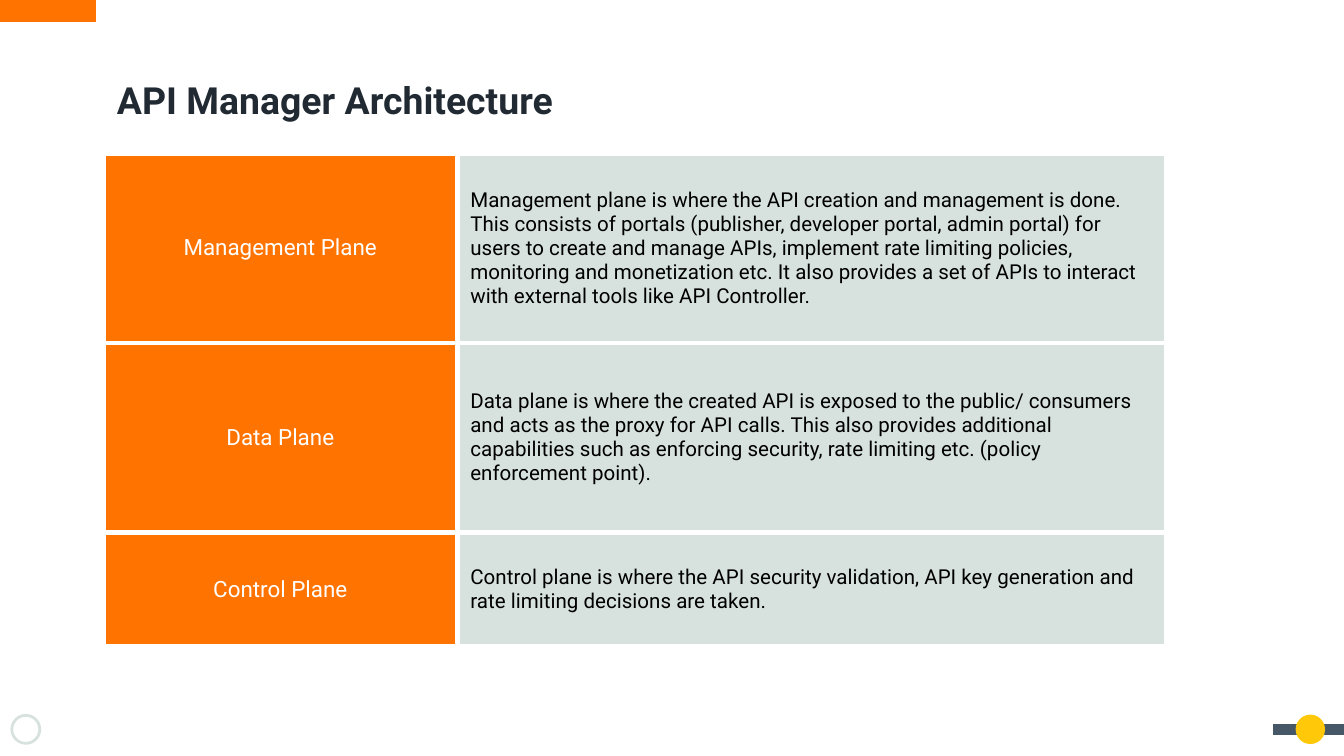
from typing import NamedTuple

from lxml import etree
from pptx import Presentation
from pptx.dml.color import RGBColor
from pptx.enum.shapes import MSO_CONNECTOR, MSO_SHAPE
from pptx.enum.text import MSO_ANCHOR, PP_ALIGN
from pptx.oxml.ns import qn
from pptx.util import Emu, Pt

STRAIGHT = MSO_CONNECTOR.STRAIGHT
ELLIPSE, DONUT = MSO_SHAPE.OVAL, MSO_SHAPE.DONUT
MIDDLE = MSO_ANCHOR.MIDDLE
LEFT, CENTER = PP_ALIGN.LEFT, PP_ALIGN.CENTER

EMU_PER_PX = 914400 / 192
FONT = "Roboto"
ORANGE, YELLOW, SLATE = "FF7300", "FFC808", "465867"
MINT, INK, BLACK, WHITE = "D7E2DE", "212A32", "000000", "FFFFFF"
INSET = 19
BORDER_PT = 3
COL_WIDTHS = (505, 1014)


class Bar(NamedTuple):
    x1: int
    x2: int
    y: int
    color: str
    weight: int


class Badge(NamedTuple):
    kind: int
    x: int
    y: int
    size: int
    color: str


class Plane(NamedTuple):
    name: str
    description: str
    height: int


BARS = (Bar(-6, 137, 15, ORANGE, 12), Bar(1818, 1928, 1042, SLATE, 6))
BADGES = (Badge(ELLIPSE, 1851, 1021, 42, YELLOW), Badge(DONUT, 15, 1020, 44, MINT))
PLANES = (
    Plane(
        "Management Plane",
        "Management plane is where the API creation and management is done. "
        "This consists of portals (publisher, developer portal, admin portal) "
        "for users to create and manage APIs, implement rate limiting policies, "
        "monitoring and monetization etc. It also provides a set of APIs to "
        "interact with external tools like API Controller.",
        271,
    ),
    Plane(
        "Data Plane",
        "Data plane is where the created API is exposed to the public/ consumers "
        "and acts as the proxy for API calls. This also provides additional "
        "capabilities such as enforcing security, rate limiting etc. (policy "
        "enforcement point).",
        271,
    ),
    Plane(
        "Control Plane",
        "Control plane is where the API security validation, API key generation "
        "and rate limiting decisions are taken.",
        163,
    ),
)


def px(n: int) -> Emu:
    return Emu(round(n * EMU_PER_PX))


def rgb(color: str) -> RGBColor:
    return RGBColor.from_string(color)


def draw_bar(slide, bar: Bar) -> None:
    s = slide.shapes.add_connector(STRAIGHT, px(bar.x1), px(bar.y), px(bar.x2), px(bar.y))
    s.line.color.rgb = rgb(bar.color)
    s.line.width = Pt(bar.weight)
    etree.SubElement(s._element.spPr, qn("a:effectLst"))


def draw_badge(slide, badge: Badge) -> None:
    s = slide.shapes.add_shape(
        badge.kind, px(badge.x), px(badge.y), px(badge.size), px(badge.size)
    )
    s.shadow.inherit = False
    s.fill.solid()
    s.fill.fore_color.rgb = rgb(badge.color)
    s.line.fill.background()
    if badge.kind == DONUT:
        s.adjustments[0] = 0.09


def set_text(tf, text: str, size: int, color: str, align, bold: bool = False) -> None:
    tf.text = text
    p = tf.paragraphs[0]
    p.alignment = align
    font = p.runs[0].font
    font.name, font.size, font.bold = FONT, Pt(size), bold
    font.color.rgb = rgb(color)


def set_borders(cell, color: str, weight: int) -> None:
    tc_pr = cell._tc.get_or_add_tcPr()
    for side in ("lnL", "lnR", "lnT", "lnB"):
        ln = etree.SubElement(tc_pr, qn(f"a:{side}"), w=str(Pt(weight)))
        fill = etree.SubElement(ln, qn("a:solidFill"))
        etree.SubElement(fill, qn("a:srgbClr"), val=color)


def format_cell(cell, text: str, size: int, color: str, fill: str, align) -> None:
    set_text(cell.text_frame, text, size, color, align)
    cell.vertical_anchor = MIDDLE
    cell.margin_left = cell.margin_right = px(INSET)
    cell.margin_top = cell.margin_bottom = px(INSET)
    set_borders(cell, WHITE, BORDER_PT)
    cell.fill.solid()
    cell.fill.fore_color.rgb = rgb(fill)


def draw_title(slide, text: str) -> None:
    s = slide.shapes.title
    s.left, s.top, s.width, s.height = px(148), px(96), px(1634), px(92)
    tf = s.text_frame
    set_text(tf, text, 20, INK, LEFT, bold=True)
    tf.word_wrap = True
    tf.vertical_anchor = MIDDLE
    tf.margin_left = tf.margin_right = px(INSET)
    tf.margin_top = tf.margin_bottom = px(INSET)


def draw_planes(slide, x: int, y: int) -> None:
    height = sum(plane.height for plane in PLANES)
    table = slide.shapes.add_table(
        len(PLANES), len(COL_WIDTHS), px(x), px(y), px(sum(COL_WIDTHS)), px(height)
    ).table
    table.first_row = table.horz_banding = False
    for column, width in zip(table.columns, COL_WIDTHS):
        column.width = px(width)
    for row, plane in zip(table.rows, PLANES):
        row.height = px(plane.height)
        name, description = row.cells
        format_cell(name, plane.name, 12, WHITE, ORANGE, CENTER)
        format_cell(description, plane.description, 11, BLACK, MINT, LEFT)


def main() -> None:
    prs = Presentation()
    prs.slide_width, prs.slide_height = px(1920), px(1080)
    slide = prs.slides.add_slide(prs.slide_layouts[5])
    for bar in BARS:
        draw_bar(slide, bar)
    for badge in BADGES:
        draw_badge(slide, badge)
    draw_title(slide, "API Manager Architecture")
    draw_planes(slide, 148, 219)
    prs.save("out.pptx")


if __name__ == "__main__":
    main()
